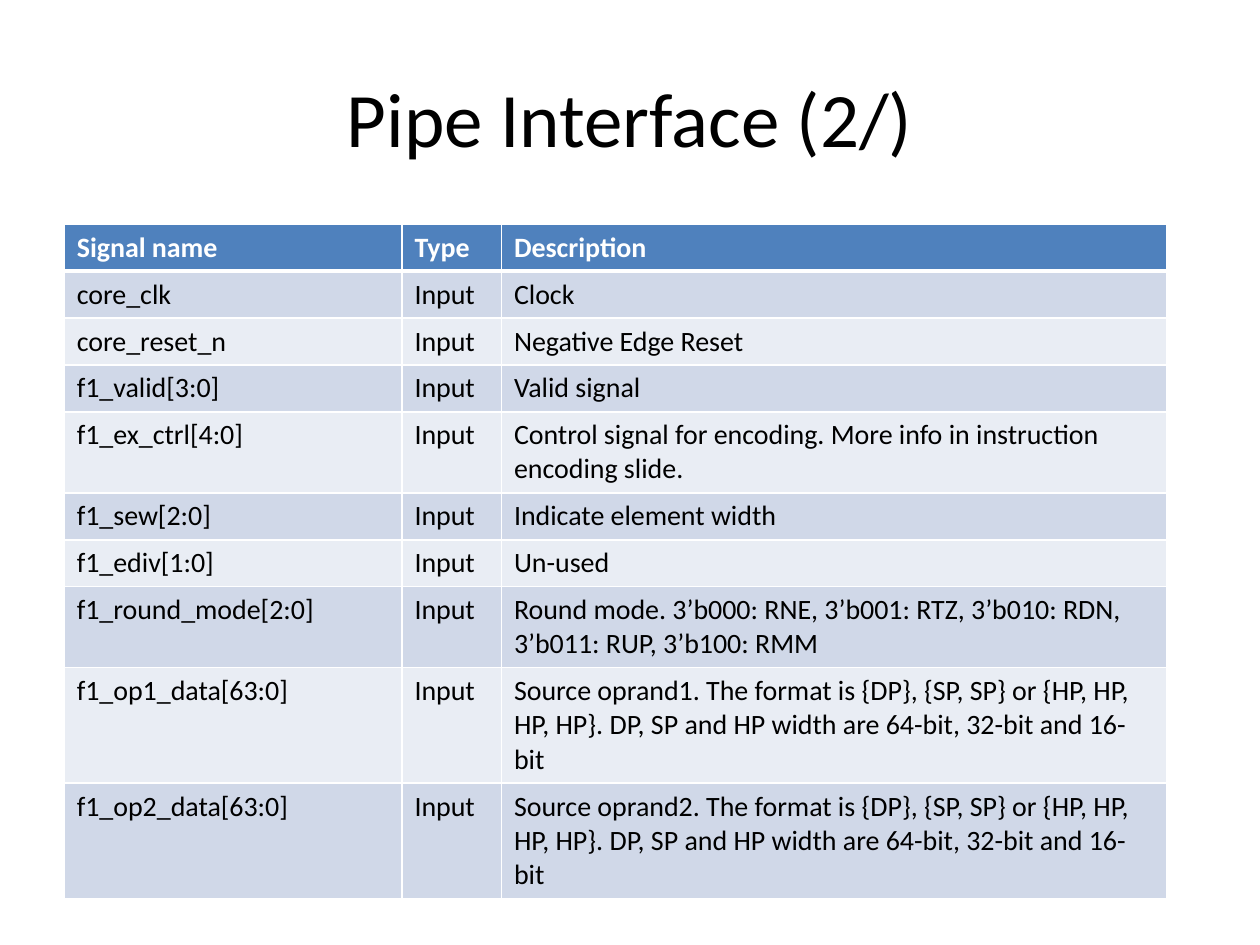
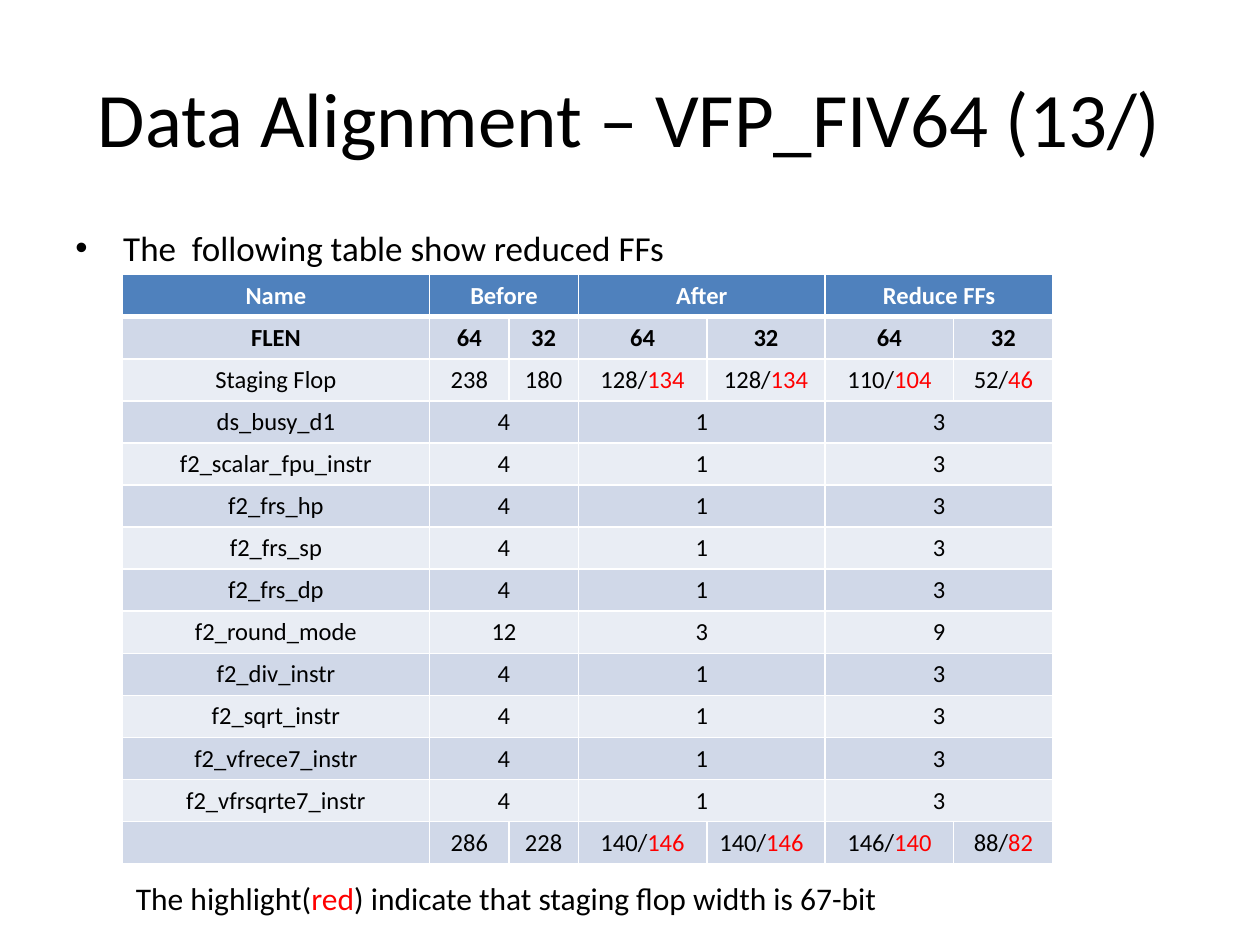
import lxml.etree
import pptx
import pptx.dml.color
import pptx.enum.text
import pptx.oxml.ns
import pptx.util

Inches, Pt = pptx.util.Inches, pptx.util.Pt
ALIGN, ANCHOR = pptx.enum.text.PP_ALIGN, pptx.enum.text.MSO_ANCHOR
qn = pptx.oxml.ns.qn


def rgb(value):
    return pptx.dml.color.RGBColor.from_string(value)


def sub(parent, tag, **attrs):
    return lxml.etree.SubElement(parent, qn(tag), **attrs)


class Deck:
    FONT, TEXT, RED, WHITE = "Calibri", "000000", "FF0000", "FFFFFF"
    HEADER, BANDS = "4F81BD", ("D0D8E8", "E9EDF4")

    def __init__(self):
        self.prs = pptx.Presentation()
        self.prs.slide_width, self.prs.slide_height = Inches(10), Inches(7.5)
        self.s = None

    def paragraph(self, p, text, size, color=TEXT, bold=False, align=ALIGN.LEFT):
        """Fill a paragraph; every second part between bars is red."""
        p.alignment = align
        font = p.font
        font.name, font.size, font.bold = self.FONT, Pt(size), bold
        font.color.rgb = rgb(color)
        if not text:
            sub(p._p, "a:endParaRPr", sz=str(size * 100))
            return
        for i, part in enumerate(text.split("|")):
            if part:
                r = p.add_run()
                r.text = part
                if i % 2:
                    r.font.color.rgb = rgb(self.RED)

    def slide(self, title):
        self.s = self.prs.slides.add_slide(self.prs.slide_layouts[5])
        sp = self.s.shapes.title
        sp.left, sp.top = Inches(0.5), Inches(0.3)
        sp.width, sp.height = Inches(9), Inches(1.25)
        tf = sp.text_frame
        tf.vertical_anchor = ANCHOR.MIDDLE
        self.paragraph(tf.paragraphs[0], title, 44, align=ALIGN.CENTER)

    def text(self, text, x, y, w, h, size, bullet=False, wrap=True):
        sp = self.s.shapes.add_textbox(Inches(x), Inches(y), Inches(w), Inches(h))
        tf = sp.text_frame
        tf.word_wrap = wrap
        p = tf.paragraphs[0]
        if bullet:
            pPr = p._p.get_or_add_pPr()
            pPr.set("marL", str(Inches(0.38)))
            pPr.set("indent", str(-Inches(0.38)))
            sub(pPr, "a:buFont", typeface="Arial")
            sub(pPr, "a:buChar", char="•")
        self.paragraph(p, text, size)

    def borders(self, cell, row):
        tcPr = cell._tc.get_or_add_tcPr()
        heavy = {0: "a:lnB", 1: "a:lnT"}.get(row)
        for tag in ("a:lnL", "a:lnR", "a:lnT", "a:lnB"):
            ln = sub(tcPr, tag, w=str(Pt(3 if tag == heavy else 1)))
            sub(sub(ln, "a:solidFill"), "a:srgbClr", val=self.WHITE)

    def table(self, rows, x, y, widths, heights, size, align=ALIGN.LEFT, bold_rows=1):
        """Draw rows of text; None continues the cell to its left."""
        t = self.s.shapes.add_table(len(rows), len(widths), Inches(x), Inches(y),
                                    Inches(sum(widths)), Inches(sum(heights))).table
        t.horz_banding = False
        for col, w in zip(t.columns, widths):
            col.width = Inches(w)
        for i, (row, h) in enumerate(zip(rows, heights)):
            t.rows[i].height = Inches(h)
            for j, text in enumerate(row):
                cell = t.cell(i, j)
                self.borders(cell, i)
                cell.fill.solid()
                cell.fill.fore_color.rgb = rgb(self.BANDS[(i - 1) % 2] if i else self.HEADER)
                if text is None:
                    t.cell(i, j - 1).merge(cell)
                else:
                    self.paragraph(cell.text_frame.paragraphs[0], text, size,
                                   self.TEXT if i else self.WHITE, i < bold_rows, align)
        return t


def pipe_interface(deck):
    deck.slide("Pipe Interface (2/)")
    operand = ("Source oprand{}. The format is {{DP}}, {{SP, SP}} or {{HP, HP, HP, HP}}. "
               "DP, SP and HP width are 64-bit, 32-bit and 16-bit")
    # Signal, description, lines of text
    signals = [
        ("core_clk", "Clock", 1),
        ("core_reset_n", "Negative Edge Reset", 1),
        ("f1_valid[3:0]", "Valid signal", 1),
        ("f1_ex_ctrl[4:0]",
         "Control signal for encoding. More info in instruction encoding slide.", 2),
        ("f1_sew[2:0]", "Indicate element width", 1),
        ("f1_ediv[1:0]", "Un-used", 1),
        ("f1_round_mode[2:0]",
         "Round mode. 3’b000: RNE, 3’b001: RTZ, 3’b010: RDN, 3’b011: RUP, 3’b100: RMM", 2),
        ("f1_op1_data[63:0]", operand.format(1), 3),
        ("f1_op2_data[63:0]", operand.format(2), 3),
    ]
    rows = [("Signal name", "Type", "Description")]
    rows += [(name, "Input", about) for name, about, _ in signals]
    heights = [0.37] + [0.1 + 0.27 * lines for _, _, lines in signals]
    deck.table(rows, 0.51, 1.78, (2.68, 0.79, 5.28), heights, 16)


def data_alignment(deck):
    deck.slide("Data Alignment – VFP_FIV64 (13/)")
    deck.text("The  following table show reduced FFs", 0.5, 1.75, 9, 4.95, 20, bullet=True)

    # Flip-flop counts before and after
    rows = [
        ("Name", "Before", None, "After", None, "Reduce FFs", None),
        ("FLEN",) + ("64", "32") * 3,
        ("Staging Flop", "238", "180", "128/|134", "128/|134", "110/|104", "52/|46"),
    ]
    for name in ("ds_busy_d1", "f2_scalar_fpu_instr", "f2_frs_hp", "f2_frs_sp", "f2_frs_dp",
                 "f2_round_mode", "f2_div_instr", "f2_sqrt_instr", "f2_vfrece7_instr",
                 "f2_vfrsqrte7_instr"):
        before, after = (12, 3) if name == "f2_round_mode" else (4, 1)
        rows.append((name, str(before), None, str(after), None, str(before - after), None))
    rows.append(("", "286", "228", "140/|146", "140/|146", "146/|140", "88/|82"))
    t = deck.table(rows, 0.97, 2.18, (2.44, 0.63, 0.55, 1.02, 0.94, 1.02, 0.79),
                   [0.33] * len(rows), 14, ALIGN.CENTER, bold_rows=2)
    t.cell(len(rows) - 1, 4).text_frame.paragraphs[0].alignment = ALIGN.LEFT

    # Legend
    deck.text("The highlight(|red|) indicate that staging flop width is 67-bit",
              0.98, 6.93, 6.15, 0.4, 18, wrap=False)


def main():
    deck = Deck()
    pipe_interface(deck)
    data_alignment(deck)
    deck.prs.save("out.pptx")


if __name__ == "__main__":
    main()
